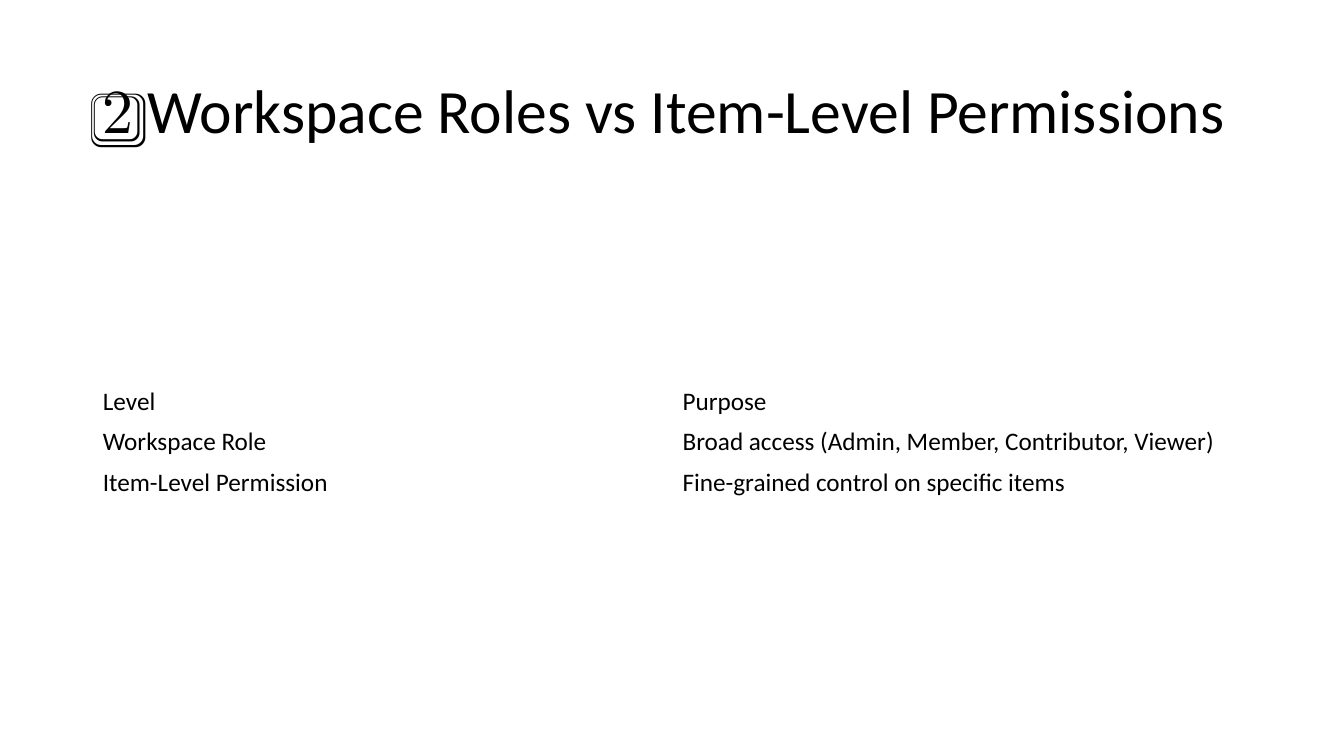
from pptx import Presentation
from pptx.dml.color import RGBColor
from pptx.enum import text
from pptx.util import Inches, Pt

TITLE = "2️⃣ Workspace Roles vs Item-Level Permissions"
ROWS = [
    ("Level", "Purpose"),
    ("Workspace Role", "Broad access (Admin, Member, Contributor, Viewer)"),
    ("Item-Level Permission", "Fine-grained control on specific items"),
]
LEFT, WIDTH = 0.92, 11.5
TITLE_TOP, TITLE_HEIGHT = 0.4, 1.45
TABLE_TOP, ROW_HEIGHT = 3.78, 0.4
TITLE_FONT = {"name": "Calibri", "size": Pt(44), "bold": False}
CELL_FONT = {"name": "Calibri", "size": Pt(18), "bold": False}
BLACK = "000000"


def write(para, words, font, color):
    span = para.add_run()
    span.text = words
    for name, value in font.items():
        setattr(span.font, name, value)
    span.font.color.rgb = RGBColor.from_string(color)


def add_title(page):
    box = page.shapes.title
    place = {"left": LEFT, "top": TITLE_TOP, "width": WIDTH, "height": TITLE_HEIGHT}
    for name, value in place.items():
        setattr(box, name, Inches(value))
    frame = box.text_frame
    frame.word_wrap = True
    frame.auto_size = text.MSO_AUTO_SIZE.NONE
    frame.vertical_anchor = text.MSO_ANCHOR.MIDDLE
    para = frame.paragraphs[0]
    para.alignment = text.PP_ALIGN.LEFT
    para.line_spacing = 0.9
    write(para, TITLE, TITLE_FONT, BLACK)


def add_roles_table(page):
    table = page.shapes.add_table(
        len(ROWS), len(ROWS[0]), Inches(LEFT), Inches(TABLE_TOP),
        Inches(WIDTH), Inches(ROW_HEIGHT * len(ROWS))).table
    table.first_row = False
    table.horz_banding = False
    for row, entries in enumerate(ROWS):
        for column, words in enumerate(entries):
            cell = table.cell(row, column)
            cell.fill.background()
            cell.vertical_anchor = text.MSO_ANCHOR.MIDDLE
            write(cell.text_frame.paragraphs[0], words, CELL_FONT, BLACK)


def main():
    deck = Presentation()
    deck.slide_width, deck.slide_height = Inches(13.33), Inches(7.5)
    page = deck.slides.add_slide(deck.slide_layouts.get_by_name("Title Only"))
    add_title(page)
    add_roles_table(page)
    deck.save("out.pptx")


if __name__ == "__main__":
    main()
